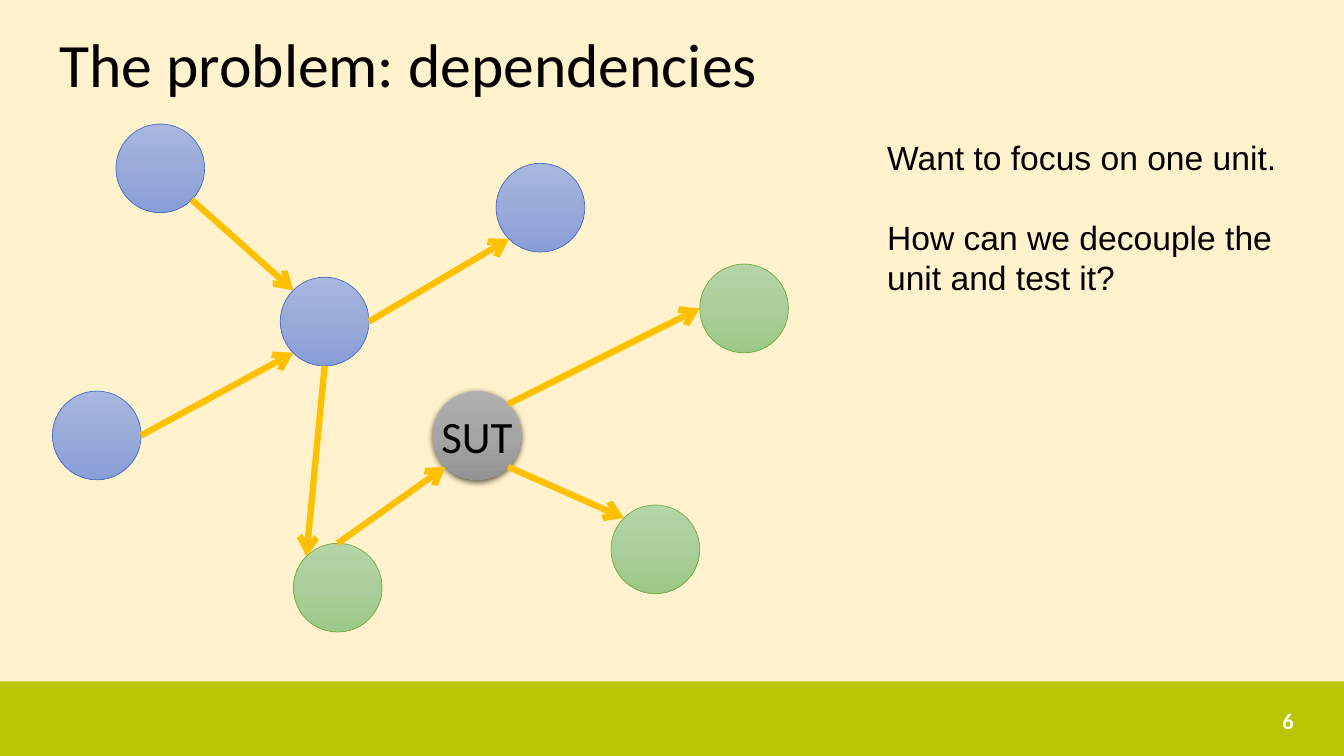
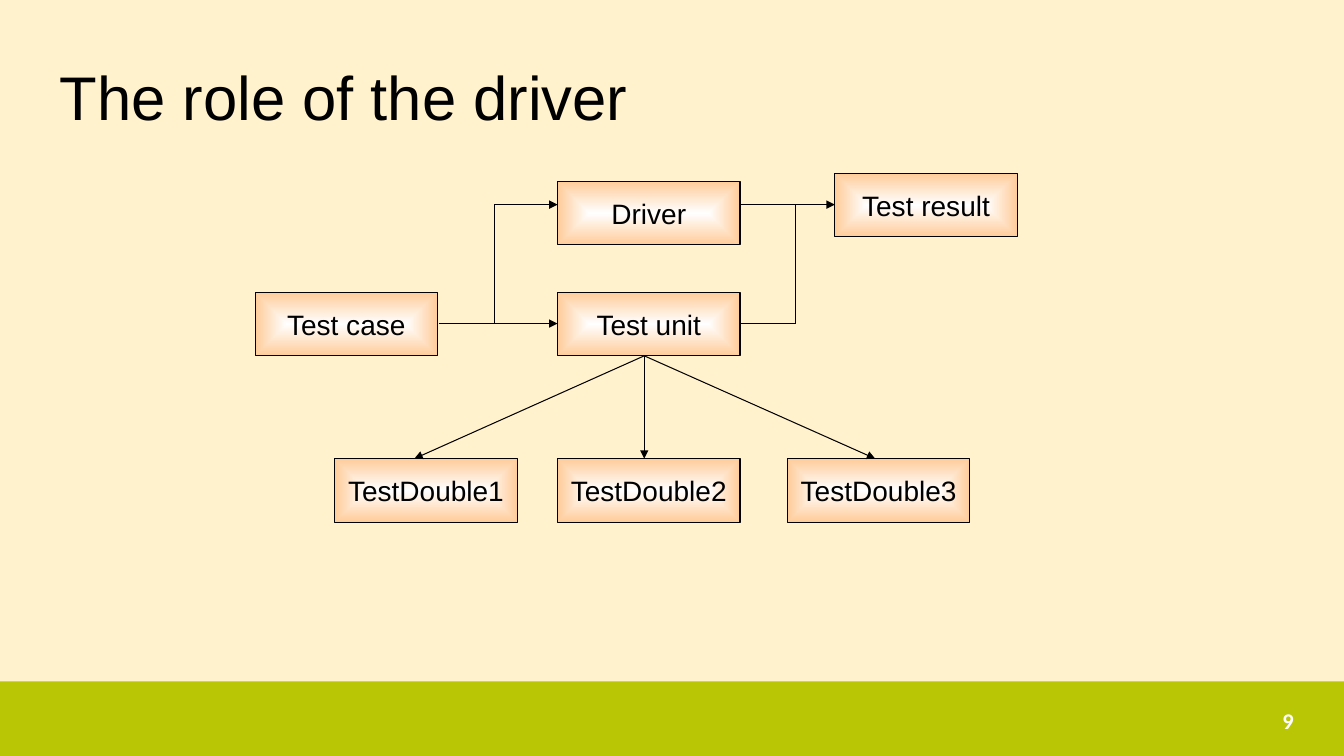
from dataclasses import dataclass
from math import cos, radians, sin

from lxml.etree import SubElement
from pptx import Presentation
from pptx.dml.color import RGBColor
from pptx.enum.shapes import MSO_CONNECTOR, MSO_SHAPE
from pptx.enum.text import MSO_ANCHOR, PP_ALIGN
from pptx.oxml import parse_xml
from pptx.oxml.ns import nsdecls, qn
from pptx.util import Inches, Pt


# Colours, fonts and type sizes
@dataclass(frozen=True)
class Theme:
    back: str = "FFF2CC"
    band: str = "B8C605"
    ink: str = "000000"
    white: str = "FFFFFF"
    arrow: str = "FFC000"
    blue: tuple = ("A8B7DF", "9AABD9", "889ED7")
    blue_edge: str = "4472C4"
    green: tuple = ("B5D5A7", "AACE9A", "9CC987")
    green_edge: str = "70AD47"
    gray: tuple = ("AFAFAF", "A5A5A5", "939393")
    box: tuple = ("FFFFFF", "FFCC99")
    sans: str = "Arial"
    head: str = "Calibri"
    title: int = 44
    unit: int = 32
    body: int = 24
    label: int = 20
    number: int = 16


T = Theme()
WIDE, HIGH = 13.33, 7.5
BAND_TOP = 6.76
NODE = 0.88
BOX_W, BOX_H = 1.81, 0.63

# Connection sites of an ellipse, counted anticlockwise from the top
TOP, TOP_LEFT, LEFT, LOW_LEFT, LOW, LOW_RIGHT, RIGHT, TOP_RIGHT = range(8)


# Formatting helpers
def rgb(code):
    return RGBColor.from_string(code)


def style(frame, size, font, color=T.ink, bold=False, align=PP_ALIGN.LEFT):
    for para in frame.paragraphs:
        para.alignment = align
        for run in para.runs:
            run.font.size = Pt(size)
            run.font.name = font
            run.font.bold = bold
            run.font.color.rgb = rgb(color)


def fade(shape, colors, inward=False):
    last = len(colors) - 1
    stops = "".join(
        f'<a:gs pos="{i * 100000 // last}"><a:srgbClr val="{c}"/></a:gs>'
        for i, c in enumerate(colors))
    if inward:
        way = ('<a:path path="shape"><a:fillToRect l="50000" t="50000" '
               'r="50000" b="50000"/></a:path>')
    else:
        way = '<a:lin ang="5400000" scaled="0"/>'
    shape.element.spPr.insert(2, parse_xml(
        f'<a:gradFill {nsdecls("a")} rotWithShape="1">'
        f'<a:gsLst>{stops}</a:gsLst>{way}</a:gradFill>'))


def edge(shape, color, width):
    if color:
        shape.line.color.rgb = rgb(color)
        shape.line.width = Pt(width)
    else:
        shape.line.fill.background()


def shade(shape):
    effects = shape.element.spPr.find(qn("a:effectLst"))
    effects.append(parse_xml(
        f'<a:outerShdw {nsdecls("a")} blurRad="{Pt(4.5)}" '
        f'dist="{Pt(1.5)}" dir="5400000" algn="ctr" rotWithShape="0">'
        '<a:srgbClr val="000000"><a:alpha val="63000"/></a:srgbClr>'
        '</a:outerShdw>'))


# Elements
def add_form(slide, kind, left, top, width, height):
    shape = slide.shapes.add_shape(
        kind, Inches(left), Inches(top), Inches(width), Inches(height))
    shape.shadow.inherit = False
    return shape


def add_label(shape, text, size, font):
    frame = shape.text_frame
    frame.text = text
    frame.word_wrap = False
    frame.vertical_anchor = MSO_ANCHOR.MIDDLE
    style(frame, size, font, align=PP_ALIGN.CENTER)


def add_text(slide, lines, left, top, width, height):
    box = slide.shapes.add_textbox(
        Inches(left), Inches(top), Inches(width), Inches(height))
    frame = box.text_frame
    frame.word_wrap = True
    frame.text = "\n".join(lines)
    return frame


def add_node(slide, left, top, colors, rim):
    node = add_form(slide, MSO_SHAPE.OVAL, left, top, NODE, NODE)
    fade(node, colors)
    edge(node, rim, 0.5)
    return node


def add_box(slide, text, left, top):
    box = add_form(slide, MSO_SHAPE.RECTANGLE, left, top, BOX_W, BOX_H)
    fade(box, T.box, inward=True)
    edge(box, T.ink, 0.75)
    add_label(box, text, T.label, T.sans)


def add_line(slide, start, end, color, width, tip=None):
    line = slide.shapes.add_connector(MSO_CONNECTOR.STRAIGHT, *start, *end)
    edge(line, color, width)
    props = line.element.spPr
    if tip:
        SubElement(props.find(qn("a:ln")), qn("a:tailEnd"), type=tip)
    SubElement(props, qn("a:effectLst"))
    return line


def site(node, index):
    angle = radians(-90 - 45 * index)
    radius = node.width / 2
    return (round(node.left + radius * (1 + cos(angle))),
            round(node.top + radius * (1 + sin(angle))))


def link(slide, first, out, last, into):
    line = add_line(slide, site(first, out), site(last, into),
                    T.arrow, 4.5, "arrow")
    ends = line.element.nvCxnSpPr.cNvCxnSpPr
    for tag, node, index in (("a:stCxn", first, out),
                             ("a:endCxn", last, into)):
        SubElement(ends, qn(tag), id=str(node.shape_id), idx=str(index))


# Shared frame
def add_slide(deck, title, top, font, number):
    slide = deck.slides.add_slide(deck.slide_layouts[5])
    head = slide.shapes.title
    head.left, head.top = Inches(0.49), Inches(top)
    head.width, head.height = Inches(12.43), Inches(1.45)
    frame = head.text_frame
    frame.text = title
    frame.vertical_anchor = MSO_ANCHOR.MIDDLE
    frame.paragraphs[0].line_spacing = 0.9
    style(frame, T.title, font)
    page = add_text(slide, [number], 9.42, 6.95, 3.51, 0.4)
    page.vertical_anchor = MSO_ANCHOR.MIDDLE
    style(page, T.number, T.head, T.white, True, PP_ALIGN.RIGHT)
    return slide


def set_base(deck, slide):
    fill = deck.slide_master.background.fill
    fill.solid()
    fill.fore_color.rgb = rgb(T.back)
    band = add_form(slide, MSO_SHAPE.RECTANGLE,
                    0, BAND_TOP, WIDE, HIGH - BAND_TOP)
    band.fill.solid()
    band.fill.fore_color.rgb = rgb(T.band)
    edge(band, None, 0)
    # The band belongs to the layout, behind its placeholders
    slide.slide_layout.shapes.element.insert(2, band.element)


# Slide content
def draw_web(slide):
    blue, green = (T.blue, T.blue_edge), (T.green, T.green_edge)
    hub = add_node(slide, 2.78, 2.75, *blue)
    peer = add_node(slide, 4.92, 1.62, *blue)
    upper = add_node(slide, 6.94, 2.62, *green)
    lower = add_node(slide, 6.06, 5.01, *green)
    unit = add_node(slide, 4.29, 3.88, T.gray, None)
    user = add_node(slide, 2.91, 5.39, *green)
    first = add_node(slide, 1.15, 1.23, *blue)
    second = add_node(slide, 0.52, 3.88, *blue)
    shade(unit)
    add_label(unit, "SUT", T.unit, T.head)

    for ends in (
            (first, LOW_RIGHT, hub, TOP_LEFT),
            (second, RIGHT, hub, LOW_LEFT),
            (user, TOP, unit, LOW_LEFT),
            (hub, LOW, user, TOP_LEFT),
            (hub, RIGHT, peer, LOW_LEFT),
            (unit, TOP_RIGHT, upper, LEFT),
            (unit, LOW_RIGHT, lower, TOP_LEFT)):
        link(slide, *ends)

    notes = add_text(slide, [
        "Want to focus on one unit.",
        "How can we decouple the unit and test it?"], 8.7, 1.31, 4.22, 1.72)
    notes.paragraphs[1].space_before = Pt(28)
    style(notes, T.body, T.sans)


def draw_flow(slide):
    for text, left, top in (
            ("TestDouble3", 7.81, 4.55), ("TestDouble2", 5.53, 4.55),
            ("TestDouble1", 3.32, 4.55), ("Test result", 8.28, 1.72),
            ("Test unit", 5.53, 2.9), ("Driver", 5.53, 1.8),
            ("Test case", 2.53, 2.9)):
        add_box(slide, text, left, top)

    high, low = 2.03, 3.21
    fork, join = 4.9, 7.89
    root = (6.39, 3.53)
    tip = "triangle"
    fan = [(root, (x, 4.55), tip) for x in (4.11, 6.39, 8.68)]
    route = [
        ((4.35, low), (5.53, low), tip),
        ((fork, low), (fork, high), None),
        ((fork, high), (5.53, high), tip),
        ((7.34, high), (8.28, high), tip),
        ((7.34, low), (join, low), None),
        ((join, high), (join, low), None)]
    for start, end, mark in fan + route:
        add_line(slide, map(Inches, start), map(Inches, end),
                 T.ink, 0.75, mark)


def main():
    deck = Presentation()
    deck.slide_width, deck.slide_height = Inches(WIDE), Inches(HIGH)
    web = add_slide(deck, "The problem: dependencies", -0.05, T.head, "6")
    set_base(deck, web)
    draw_web(web)
    flow = add_slide(deck, "The role of the driver", 0.27, T.sans, "9")
    draw_flow(flow)
    deck.save("out.pptx")


main()
